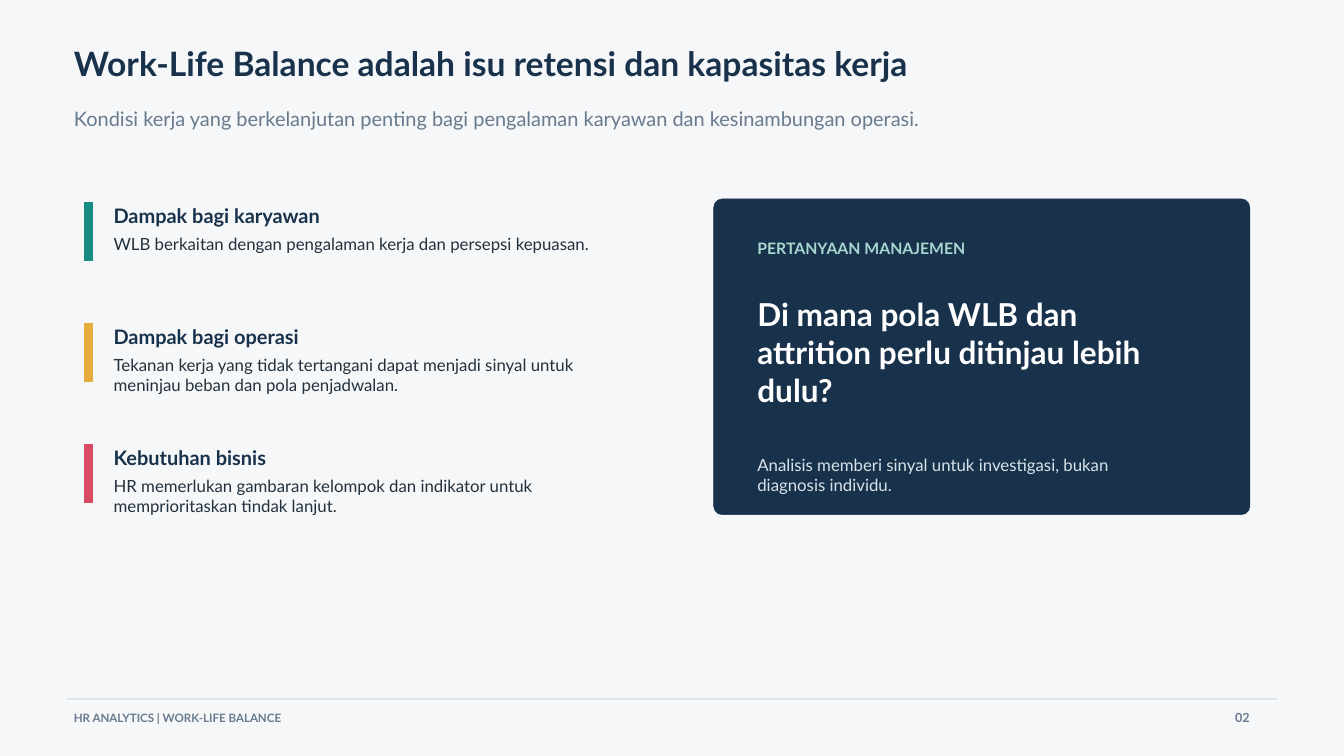
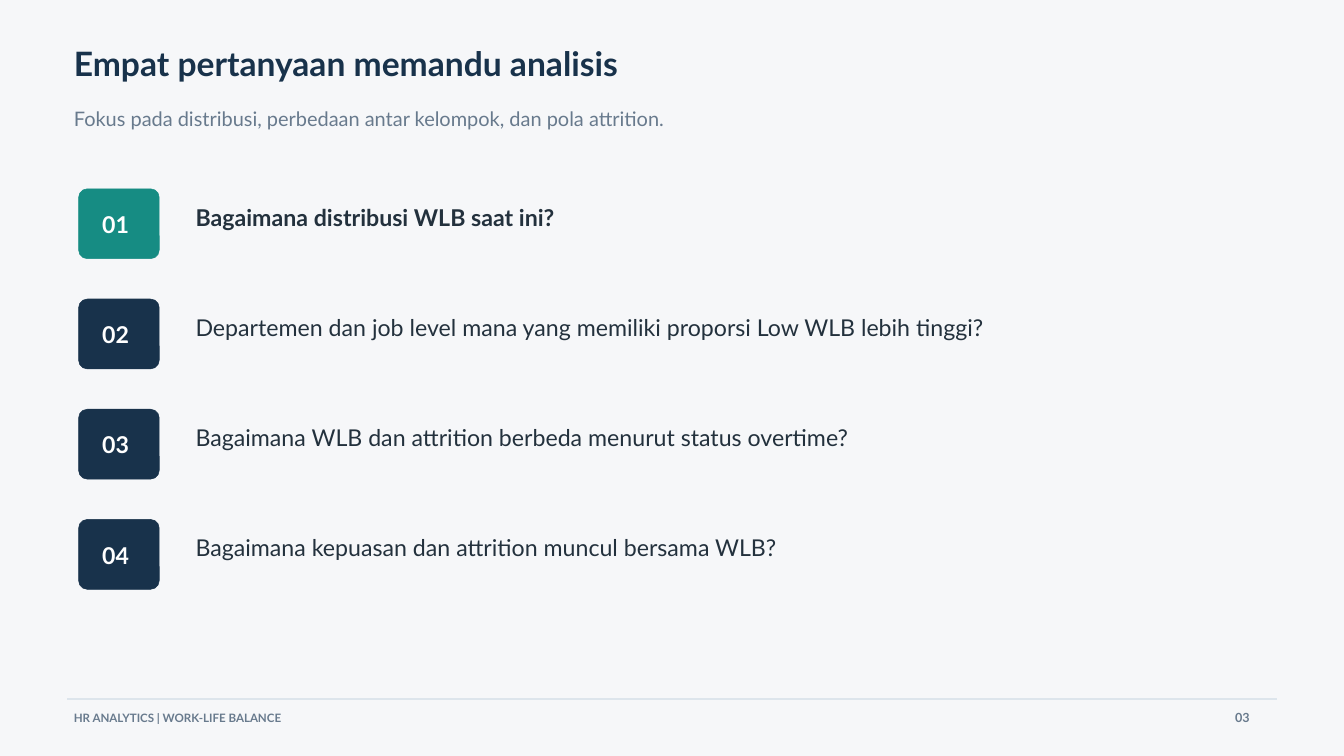
from pptx import Presentation
from pptx.dml.color import RGBColor
from pptx.enum.shapes import MSO_CONNECTOR, MSO_SHAPE
from pptx.enum.text import MSO_ANCHOR, MSO_AUTO_SIZE, PP_ALIGN
from pptx.oxml.ns import qn
from pptx.util import Inches, Pt
from lxml import etree

# Shared style
FONT = "Lato"
NAVY = RGBColor(0x18, 0x32, 0x4B)
INK = RGBColor(0x23, 0x31, 0x3D)
SLATE = RGBColor(0x68, 0x7A, 0x8D)
TEAL = RGBColor(0x16, 0x8C, 0x83)
AMBER = RGBColor(0xE6, 0xAC, 0x3C)
ROSE = RGBColor(0xD9, 0x4B, 0x63)
MINT = RGBColor(0xA8, 0xD6, 0xD0)
MIST = RGBColor(0xD8, 0xE2, 0xEA)
RULE = RGBColor(0xDD, 0xE5, 0xEC)
PAPER = RGBColor(0xF6, 0xF7, 0xF9)
WHITE = RGBColor(0xFF, 0xFF, 0xFF)
LINE_RATIO = 1.2
RADIUS = 0.13

# Content
FOOTER = "HR ANALYTICS | WORK-LIFE BALANCE"

IMPACT_TITLE = "Work-Life Balance adalah isu retensi dan kapasitas kerja"
IMPACT_SUBTITLE = ("Kondisi kerja yang berkelanjutan penting bagi pengalaman "
                   "karyawan dan kesinambungan operasi.")
IMPACTS = [
    (TEAL, "Dampak bagi karyawan",
     "WLB berkaitan dengan pengalaman kerja dan persepsi kepuasan."),
    (AMBER, "Dampak bagi operasi",
     "Tekanan kerja yang tidak tertangani dapat menjadi sinyal untuk "
     "meninjau beban dan pola penjadwalan."),
    (ROSE, "Kebutuhan bisnis",
     "HR memerlukan gambaran kelompok dan indikator untuk "
     "memprioritaskan tindak lanjut."),
]
CARD_LABEL = "PERTANYAAN MANAJEMEN"
CARD_QUESTION = "Di mana pola WLB dan attrition perlu ditinjau lebih dulu?"
CARD_NOTE = "Analisis memberi sinyal untuk investigasi, bukan diagnosis individu."

QUESTIONS_TITLE = "Empat pertanyaan memandu analisis"
QUESTIONS_SUBTITLE = ("Fokus pada distribusi, perbedaan antar kelompok, "
                      "dan pola attrition.")
QUESTIONS = [
    "Bagaimana distribusi WLB saat ini?",
    "Departemen dan job level mana yang memiliki proporsi Low WLB lebih tinggi?",
    "Bagaimana WLB dan attrition berbeda menurut status overtime?",
    "Bagaimana kepuasan dan attrition muncul bersama WLB?",
]


def write(sp, text, size, color, bold=False):
    tf = sp.text_frame
    tf.text = text
    tf.word_wrap = True
    tf.auto_size = MSO_AUTO_SIZE.NONE
    tf.vertical_anchor = MSO_ANCHOR.TOP
    tf.margin_left = tf.margin_right = tf.margin_top = tf.margin_bottom = 0
    p = tf.paragraphs[0]
    p.alignment = PP_ALIGN.LEFT
    p.line_spacing = Pt(size * LINE_RATIO)
    font = p.runs[0].font
    font.name, font.size, font.bold = FONT, Pt(size), bold
    font.color.rgb = color


def add_text(s, x, y, w, h, text, size, color, bold=False):
    box = s.shapes.add_textbox(Inches(x), Inches(y), Inches(w), Inches(h))
    write(box, text, size, color, bold)


def add_block(s, x, y, w, h, color, rounded=False):
    kind = MSO_SHAPE.ROUNDED_RECTANGLE if rounded else MSO_SHAPE.RECTANGLE
    sp = s.shapes.add_shape(kind, Inches(x), Inches(y), Inches(w), Inches(h))
    if rounded:
        sp.adjustments[0] = RADIUS / min(w, h)
    sp.shadow.inherit = False
    sp.fill.solid()
    sp.fill.fore_color.rgb = color
    sp.line.color.rgb = color
    sp.line.width = Pt(0.56)


def add_slide(prs, title, subtitle, number):
    s = prs.slides.add_slide(prs.slide_layouts[5])
    # Title and subtitle
    head = s.shapes.title
    head.left, head.top = Inches(1.1), Inches(0.64)
    head.width, head.height = Inches(17.61), Inches(0.81)
    write(head, title, 36, NAVY, True)
    add_text(s, 1.1, 1.59, 17.46, 0.7, subtitle, 21.4, SLATE)
    # Footer rule, label and page number
    rule = s.shapes.add_connector(MSO_CONNECTOR.STRAIGHT, Inches(1),
                                  Inches(10.4), Inches(19.01), Inches(10.4))
    rule.line.color.rgb = RULE
    rule.line.width = Pt(2)
    etree.SubElement(rule._element.spPr, qn("a:effectLst"))
    add_text(s, 1.1, 10.58, 9.96, 0.28, FOOTER, 12.4, SLATE, True)
    add_text(s, 18.38, 10.57, 0.55, 0.29, f"{number:02}", 13.5, SLATE, True)
    return s


def impact_slide(prs):
    s = add_slide(prs, IMPACT_TITLE, IMPACT_SUBTITLE, 2)
    # Impacts with accent bars
    for i, (color, heading, body) in enumerate(IMPACTS):
        y = 3.01 + 1.8 * i
        add_block(s, 1.25, y, 0.12, 0.87, color)
        add_text(s, 1.69, y + 0.02, 7.39, 0.33, heading, 21.4, NAVY, True)
        add_text(s, 1.69, y + 0.47, 7.39, 0.71, body, 18, INK)
    # Management question card
    add_block(s, 10.62, 2.96, 7.98, 4.7, NAVY, rounded=True)
    add_text(s, 11.27, 3.56, 6.67, 0.38, CARD_LABEL, 16.9, MINT, True)
    add_text(s, 11.27, 4.39, 6.21, 1.93, CARD_QUESTION, 33.8, WHITE, True)
    add_text(s, 11.27, 6.77, 6.21, 0.56, CARD_NOTE, 18, MIST)


def questions_slide(prs):
    s = add_slide(prs, QUESTIONS_TITLE, QUESTIONS_SUBTITLE, 3)
    # Numbered questions, the first one highlighted
    for i, question in enumerate(QUESTIONS):
        y = 2.81 + 1.64 * i
        first = i == 0
        add_block(s, 1.17, y, 1.2, 1.04, TEAL if first else NAVY, rounded=True)
        add_text(s, 1.52, y + 0.32, 0.55, 0.4, f"{i + 1:02}", 24.8, WHITE, True)
        add_text(s, 2.91, y + 0.21, 14.49, 0.74, question, 24.8, INK, first)


def main():
    prs = Presentation()
    prs.slide_width, prs.slide_height = Inches(20), Inches(11.25)
    fill = prs.slide_master.background.fill
    fill.solid()
    fill.fore_color.rgb = PAPER
    impact_slide(prs)
    questions_slide(prs)
    prs.save("out.pptx")


if __name__ == "__main__":
    main()
